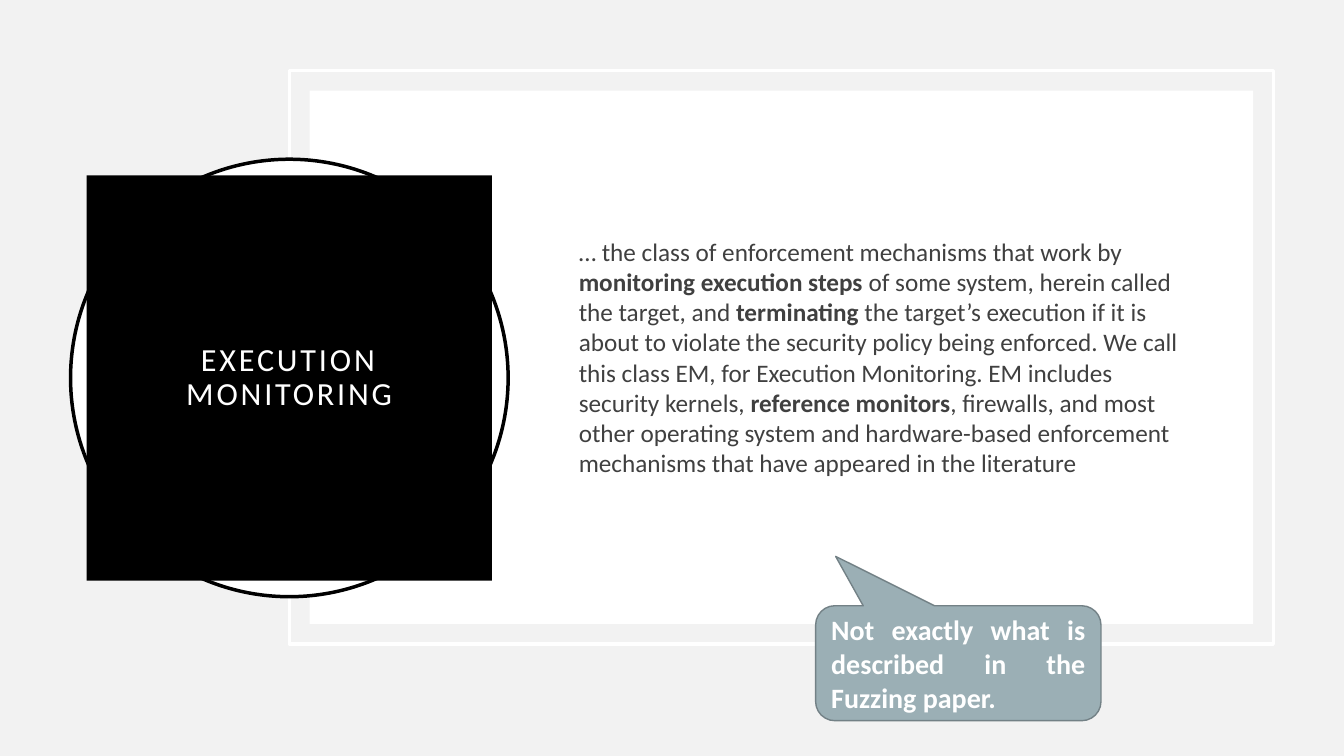
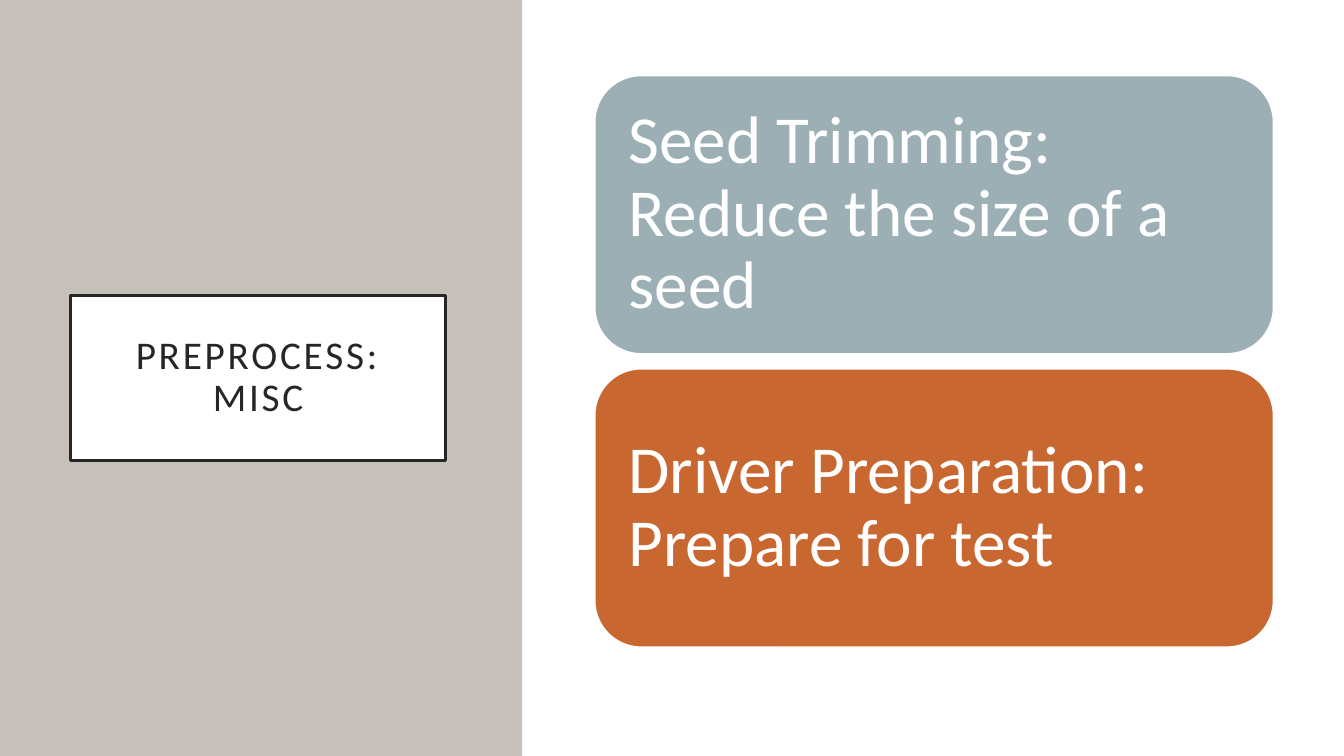
from pptx import Presentation
from pptx.dml.color import RGBColor
from pptx.enum.shapes import MSO_SHAPE as Shape
from pptx.enum.text import MSO_ANCHOR as Anchor, MSO_AUTO_SIZE as AutoSize, PP_ALIGN as Align
from pptx.oxml.ns import qn
from pptx.util import Inches, Pt
from lxml import etree

FONT = "Calibri"
COLORS = {
    "paper": "F2F2F2",
    "white": "FFFFFF",
    "black": "000000",
    "ink": "262626",
    "body": "404040",
    "stone": "C6C1BA",
    "sage": "9BAFB5",
    "sage_edge": "738186",
    "rust": "C96731",
}
TITLE_AND_BODY, TITLE_ONLY = 1, 5

DEFINITION = [
    ("… the class of enforcement mechanisms that work by ", False),
    ("monitoring execution steps ", True),
    ("of some system, herein called the target, and ", False),
    ("terminating", True),
    (" the target’s execution if it is about to violate the security policy being enforced. "
     "We call this class EM, for Execution Monitoring. EM includes security kernels, ", False),
    ("reference monitors", True),
    (", firewalls, and most other operating system and hardware-based enforcement "
     "mechanisms that have appeared in the literature", False),
]
STEPS = [
    ("Seed Trimming: Reduce the size of a seed", "sage"),
    ("Driver Preparation: Prepare for test", "rust"),
]


def color(name):
    return RGBColor.from_string(COLORS[name])


def paint(shape, fill=None, line=None, width=2.5):
    if fill:
        shape.fill.solid()
        shape.fill.fore_color.rgb = color(fill)
    else:
        shape.fill.background()
    if line:
        shape.line.color.rgb = color(line)
        shape.line.width = Pt(width)
    else:
        shape.line.fill.background()


def add_shape(page, kind, box, **style):
    shape = page.shapes.add_shape(kind, *map(Inches, box))
    shape.shadow.inherit = False
    paint(shape, **style)
    return shape


def place(shape, box):
    """Move a placeholder to a box and bring it to the front."""
    shape.left, shape.top, shape.width, shape.height = map(Inches, box)
    shape.element.getparent().append(shape.element)


def set_font(font, size, ink, bold=False):
    font.name, font.size, font.bold = FONT, Pt(size), bold
    font.color.rgb = color(ink)


def prepare_frame(shape, inset=None):
    frame = shape.text_frame
    frame.word_wrap = True
    frame.auto_size = AutoSize.NONE
    frame.vertical_anchor = Anchor.MIDDLE
    if inset is not None:
        frame.margin_left = frame.margin_right = Inches(inset)
        frame.margin_top = frame.margin_bottom = Inches(inset)
    return frame


def write(shape, text, size, ink, align=Align.LEFT, spacing=1.0, inset=None, bold=False):
    frame = prepare_frame(shape, inset)
    frame.text = text
    para = frame.paragraphs[0]
    para.alignment, para.line_spacing = align, spacing
    set_font(para.runs[0].font, size, ink, bold)


def add_title(page, text, box, size, ink, **style):
    title = page.shapes.title
    place(title, box)
    paint(title, **style)
    write(title, text, size, ink, Align.CENTER, 0.9, inset=0.2)
    for properties in title.element.iter(qn("a:rPr")):
        properties.set("spc", "200")


def add_body(page, spans, box):
    body = page.placeholders[1]
    place(body, box)
    para = prepare_frame(body).paragraphs[0]
    para.space_before = Pt(0)
    for properties in body.element.iter(qn("a:pPr")):
        properties.set("marL", "0")
        properties.set("indent", "0")
        etree.SubElement(properties, qn("a:buNone"))
    for text, bold in spans:
        span = para.add_run()
        span.text = text
        set_font(span.font, 18, "body", bold)


def add_frame(page, box, gap=0.2):
    """Draw a white panel inside a white outline."""
    left, top, width, height = box
    add_shape(page, Shape.RECTANGLE, box, line="white")
    inner = (left + gap, top + gap, width - 2 * gap, height - 2 * gap)
    add_shape(page, Shape.RECTANGLE, inner, fill="white")


def add_badge(page, text, box, gap=0.16):
    """Draw a ring with the title block centred on it."""
    left, top, width, height = box
    add_shape(page, Shape.OVAL, box, fill="white", line="black")
    inner = (left + gap, top + gap, width - 2 * gap, height - 2 * gap)
    add_title(page, text, inner, 23, "white", fill="black")


def add_callout(page, text, box):
    callout = add_shape(page, Shape.ROUNDED_RECTANGULAR_CALLOUT, box,
                        fill="sage", line="sage_edge", width=1)
    callout.adjustments[0] = -0.43
    callout.adjustments[1] = -0.93
    write(callout, text, 20, "white", Align.JUSTIFY, bold=True)


def add_cards(page, cards, box, gap=0.15):
    """Stack equal rounded cards in a box."""
    left, top, width, height = box
    card_height = (height - gap * (len(cards) - 1)) / len(cards)
    for index, (text, fill) in enumerate(cards):
        card_top = top + index * (card_height + gap)
        card = add_shape(page, Shape.ROUNDED_RECTANGLE, (left, card_top, width, card_height),
                         fill=fill, line="white", width=1)
        write(card, text, 48, "white", spacing=0.9, inset=0.2)


def add_page(deck, layout, background):
    page = deck.slides.add_slide(deck.slide_layouts[layout])
    page.background.fill.solid()
    page.background.fill.fore_color.rgb = color(background)
    return page


def build_definition(deck):
    page = add_page(deck, TITLE_AND_BODY, "paper")
    add_frame(page, (2.87, 0.7, 9.76, 5.69))
    add_badge(page, "EXECUTION MONITORING", (0.7, 1.58, 4.34, 4.34))
    add_body(page, DEFINITION, (5.64, 1.4, 6.25, 4.28))
    add_callout(page, "Not exactly what is described in the Fuzzing paper.",
                (8.09, 6.01, 2.83, 1.14))


def build_steps(deck):
    page = add_page(deck, TITLE_ONLY, "white")
    add_shape(page, Shape.RECTANGLE, (0, 0, 5.18, 7.5), fill="stone")
    add_title(page, "PREPROCESS: MISC", (0.7, 2.93, 3.72, 1.64), 28, "ink",
              fill="white", line="ink")
    add_cards(page, STEPS, (5.9, 0.75, 6.73, 5.67))


def main():
    deck = Presentation()
    deck.slide_width, deck.slide_height = Inches(13.33), Inches(7.5)
    build_definition(deck)
    build_steps(deck)
    deck.save("out.pptx")


if __name__ == "__main__":
    main()
